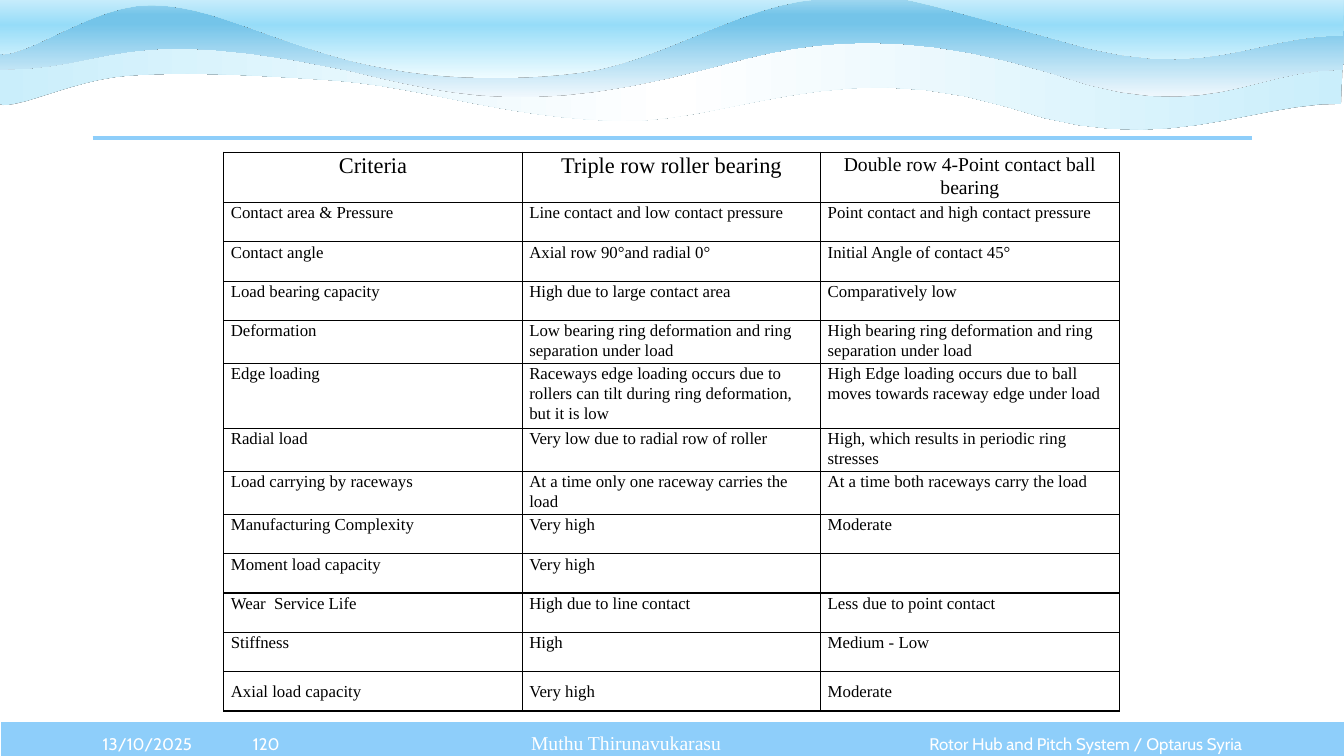
from dataclasses import dataclass

from lxml.etree import SubElement
from pptx import Presentation
from pptx.dml.color import RGBColor
from pptx.enum.shapes import MSO_CONNECTOR, MSO_SHAPE
from pptx.enum.text import MSO_ANCHOR, PP_ALIGN
from pptx.oxml.ns import qn
from pptx.util import Inches, Length, Pt

WHITE = RGBColor(0xFF, 0xFF, 0xFF)
BLACK = RGBColor(0, 0, 0)
BAR_BLUE = RGBColor(0x8E, 0xCE, 0xFA)
ICE = RGBColor(0xCA, 0xEE, 0xFB)
MIST = RGBColor(0xF0, 0xF8, 0xFD)
RIVER = RGBColor(0x74, 0xC4, 0xE9)
SHALLOW = RGBColor(0xA2, 0xD8, 0xF0)
FROST = RGBColor(0xEF, 0xFC, 0xFF)
SKY = RGBColor(0x96, 0xDC, 0xF8)

# Grid of one-inch cells
COLS, ROWS = 13.33, 7.5
MARGIN, RIGHT = 0.92, 12.42
FOOTER_TOP, FOOTER_H = 7.18, 0.4
STEPS = 12  # straight pieces per curve


def g(cells: float) -> Length:
    return Inches(cells)


@dataclass
class Wave:
    top: float
    start: tuple[float, float]
    curves: list[tuple[float, ...]]  # two control points and an end point each
    stops: list[tuple[int, RGBColor]]
    angle: int


@dataclass
class FooterText:
    text: str
    left: float
    width: float
    align: PP_ALIGN
    font: str = "Cabin"
    size: int = 12
    spacing: float = 1.0


WAVES = [
    Wave(0.3, (13.3, 1.03),
         [(12.37, 1.02, 11.52, 1.59, 9.99, 1.06), (8.27, 0.54, 7.21, 1.24, 6.1, 1.2),
          (4.99, 1.16, 4.21, 0.87, 3.35, 0.8), (2.49, 0.74, 1.83, 0.71, 1.27, 0.75),
          (0.71, 0.79, 0.14, 1.11, -0.02, 1.03)],
         [(0, ICE), (50, WHITE), (100, ICE)], 0),
    Wave(-0.02, (13.32, 0.69),
         [(12.39, 0.69, 11.96, 1.27, 10.44, 0.73), (8.71, 0.19, 7.73, 0.49, 7.06, 0.67),
          (5.28, 1.14, 4.59, 0.97, 3.46, 0.7), (1.13, 0.21, 1.15, 0.69, 0, 0.69)],
         [(0, MIST), (74, RIVER), (83, RIVER), (100, SHALLOW)], 90),
    Wave(-0.28, (13.32, 0.35),
         [(12.39, 0.35, 11.96, 0.86, 10.44, 0.38), (8.72, -0.09, 8.91, -0.07, 8.13, -0.01),
          (7.35, 0.04, 6.53, 0.62, 5.76, 0.72), (4.98, 0.82, 4.24, 0.79, 3.47, 0.6),
          (2.58, 0.36, 2.07, 0.05, 1.5, 0.05), (0.92, 0.04, 0.22, 0.61, -0.03, 0.53)],
         [(0, FROST), (50, SKY), (100, WHITE)], 90),
]

FOOTER = [
    FooterText("13/10/2025", MARGIN, 1.22, PP_ALIGN.LEFT),
    FooterText("Rotor Hub and Pitch System / Optarus Syria", 8.73, 3.69, PP_ALIGN.RIGHT),
    FooterText("120", 2.13, 1.02, PP_ALIGN.CENTER),
    FooterText("Muthu Thirunavukarasu", 3.15, 6.12, PP_ALIGN.CENTER,
               "Times New Roman", 14, 0.9),
]

CRITERIA = [
    ("Criteria", "Triple row roller bearing", "Double row 4-Point contact ball bearing"),
    ("Contact area & Pressure", "Line contact and low contact pressure",
     "Point contact and high contact pressure"),
    ("Contact angle", "Axial row 90°and radial 0°", "Initial Angle of contact 45°"),
    ("Load bearing capacity", "High due to large contact area", "Comparatively low"),
    ("Deformation", "Low bearing ring deformation and ring separation under load",
     "High bearing ring deformation and ring separation under load"),
    ("Edge loading",
     "Raceways edge loading occurs due to rollers can tilt during ring deformation, but it is low",
     "High Edge loading occurs due to ball moves towards raceway edge under load"),
    ("Radial load", "Very low due to radial row of roller",
     "High, which results in periodic ring stresses"),
    ("Load carrying by raceways", "At a time only one raceway carries the load",
     "At a time both raceways carry the load"),
    ("Manufacturing Complexity", "Very high", "Moderate"),
    ("Moment load capacity", "Very high", ""),
    ("Wear  Service Life", "High due to line contact", "Less due to point contact"),
    ("Stiffness", "High", "Medium - Low"),
    ("Axial load capacity", "Very high", "Moderate"),
]
HEADER_SIZES = (16, 16, 14)
COL_W, ROW_H = 2.96, 0.39


def apply(target, values: dict) -> None:
    for name, value in values.items():
        setattr(target, name, value)


def write(p, text: str, font: str, size: int, color: RGBColor, layout: dict) -> None:
    apply(p, layout)
    apply(p.font, {"name": font, "size": Pt(size)})
    if text:
        r = p.add_run()
        r.text = text
        apply(r.font, {"name": font, "size": Pt(size)})
        r.font.color.rgb = color


def draw_wave(s, wave: Wave) -> None:
    points = []
    x0, y0 = wave.start
    for x1, y1, x2, y2, x3, y3 in wave.curves:
        for t in (i / STEPS for i in range(1, STEPS + 1)):
            u = 1 - t
            b = (u**3, 3 * u * u * t, 3 * u * t * t, t**3)
            points.append((g(b[0] * x0 + b[1] * x1 + b[2] * x2 + b[3] * x3),
                           g(b[0] * y0 + b[1] * y1 + b[2] * y2 + b[3] * y3)))
        x0, y0 = x3, y3
    points += [(g(0), g(wave.top)), (g(COLS), g(wave.top))]
    builder = s.shapes.build_freeform(g(wave.start[0]), g(wave.start[1]))
    builder.add_line_segments(points, close=True)
    sp = builder.convert_to_shape()
    sp.line.fill.background()
    sp.fill.gradient()
    sp.fill.gradient_angle = wave.angle
    spPr = sp._element.spPr
    stops = spPr.find(".//" + qn("a:gsLst"))
    for old in list(stops):
        stops.remove(old)
    for pos, color in wave.stops:
        stop = SubElement(stops, qn("a:gs"), pos=str(pos * 1000))
        SubElement(stop, qn("a:srgbClr"), val=str(color))
    # Hairline shadow along the edge
    sp.shadow.inherit = False
    shadow = SubElement(spPr.find(qn("a:effectLst")), qn("a:outerShdw"),
                        blurRad="0", dist="0", dir="0")
    SubElement(shadow, qn("a:srgbClr"), val=str(BLACK))


def draw_footer(s, item: FooterText) -> None:
    tf = s.shapes.add_textbox(g(item.left), g(FOOTER_TOP), g(item.width), g(FOOTER_H)).text_frame
    apply(tf, {"word_wrap": True, "vertical_anchor": MSO_ANCHOR.MIDDLE})
    write(tf.paragraphs[0], item.text, item.font, item.size, WHITE,
          {"alignment": item.align, "line_spacing": item.spacing})


def draw_borders(cell) -> None:
    tcPr = cell._tc.get_or_add_tcPr()
    for i, side in enumerate(("a:lnL", "a:lnR", "a:lnT", "a:lnB")):
        ln = SubElement(tcPr, qn(side), w=str(Pt(1)))
        SubElement(SubElement(ln, qn("a:solidFill")), qn("a:srgbClr"), val=str(BLACK))
        tcPr.insert(i, ln)


def draw_table(s) -> None:
    n = len(CRITERIA)
    table = s.shapes.add_table(n, 3, g(2.22), g(1.51), g(3 * COL_W), g(n * ROW_H)).table
    apply(table, {"first_row": False, "horz_banding": False})
    for i, texts in enumerate(CRITERIA):
        for j, text in enumerate(texts):
            cell = table.cell(i, j)
            apply(cell, {"margin_left": g(0.07), "margin_right": g(0.07),
                         "margin_top": 0, "margin_bottom": 0,
                         "vertical_anchor": MSO_ANCHOR.MIDDLE if i == n - 1 else MSO_ANCHOR.TOP})
            cell.fill.background()
            draw_borders(cell)
            write(cell.text_frame.paragraphs[0], text, "Times New Roman",
                  12 if i else HEADER_SIZES[j], BLACK,
                  {"alignment": PP_ALIGN.LEFT if i else PP_ALIGN.CENTER,
                   "line_spacing": 1.07, "space_after": Pt(8)})


def main() -> None:
    prs = Presentation()
    apply(prs, {"slide_width": g(COLS), "slide_height": g(ROWS)})
    s = prs.slides.add_slide(prs.slide_layouts[6])

    # Footer bar
    bar = s.shapes.add_shape(MSO_SHAPE.RECTANGLE, 0, g(7.15), g(COLS + 0.02), g(FOOTER_H))
    bar.shadow.inherit = False
    bar.fill.solid()
    bar.fill.fore_color.rgb = BAR_BLUE
    bar.line.color.rgb = WHITE
    bar.line.width = Pt(1.5)

    # Waves and the rule below them
    for wave in WAVES:
        draw_wave(s, wave)
    rule = s.shapes.add_connector(MSO_CONNECTOR.STRAIGHT, g(MARGIN), g(1.37), g(RIGHT), g(1.37))
    rule.line.color.rgb = BAR_BLUE
    rule.line.width = Pt(3)
    SubElement(rule._element.spPr, qn("a:effectLst"))

    # Footer texts and comparison table
    for item in FOOTER:
        draw_footer(s, item)
    draw_table(s)
    prs.save("out.pptx")


if __name__ == "__main__":
    main()
